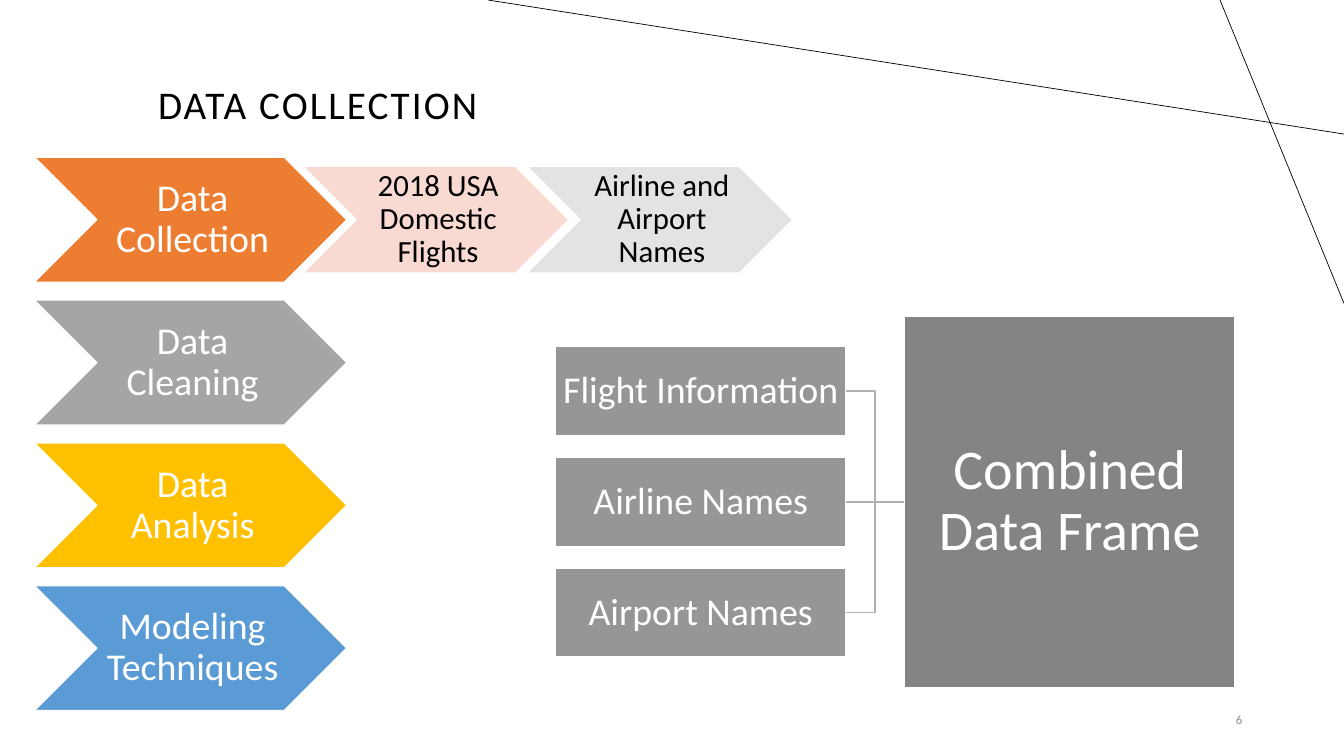
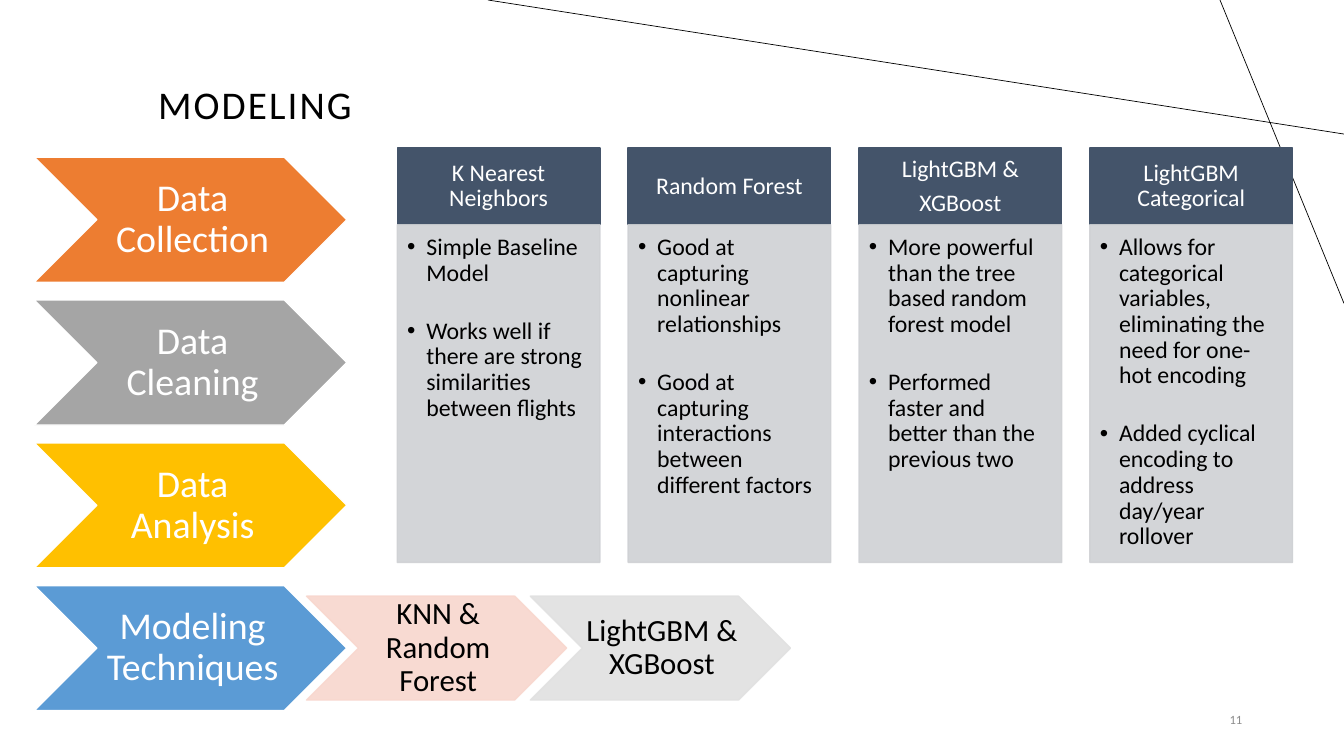
from lxml import etree
from pptx import Presentation
from pptx.dml.color import RGBColor
from pptx.enum.shapes import MSO_CONNECTOR as Link, MSO_SHAPE as Preset
from pptx.enum.text import MSO_ANCHOR as Anchor, PP_ALIGN as Align
from pptx.oxml.ns import qn
from pptx.util import Inches, Pt

# Content
STEPS = [
    ("Data Collection", "orange"),
    ("Data Cleaning", "gray"),
    ("Data Analysis", "gold"),
    ("Modeling Techniques", "blue"),
]
COLLECTION = {
    "title": "DATA COLLECTION",
    "number": "6",
    "step": 0,
    "details": ["2018 USA Domestic Flights", "Airline and Airport Names"],
}
SOURCES = ["Flight Information", "Airline Names", "Airport Names"]
RESULT = "Combined Data Frame"
MODELING = {
    "title": "MODELING",
    "number": "11",
    "step": 3,
    "details": ["KNN & Random Forest", "LightGBM & XGBoost"],
}
MODELS = [
    (["K Nearest Neighbors"],
     ["Simple Baseline Model",
      "Works well if there are strong similarities between flights"]),
    (["Random Forest"],
     ["Good at capturing nonlinear relationships",
      "Good at capturing interactions between different factors"]),
    (["LightGBM &", "XGBoost"],
     ["More powerful than the tree based random forest model",
      "Performed faster and better than the previous two"]),
    (["LightGBM Categorical"],
     ["Allows for categorical variables, eliminating the need for one-hot encoding",
      "Added cyclical encoding to address day/year rollover"]),
]

# Shared style
FONT = "Calibri"
COLORS = {
    "black": "000000", "white": "FFFFFF", "number": "8C8C8C",
    "orange": "ED7D31", "gray": "A5A5A5", "gold": "FFC000", "blue": "5B9BD5",
    "pink": "F8D7CE", "silver": "E1E1E1",
    "source": "969696", "result": "848484", "link": "B1B1B1",
    "header": "44546A", "body": "CFD1D4",
}
DETAIL_COLORS = ["pink", "silver"]
CORNER_LINES = [((13.33, 1.33), (4.84, 0)), ((12.1, 0), (13.33, 3.01))]
STEP_LEFT, STEP_W, STEP_H = 0.34, 3.1, 1.24
STEP_FIRST, STEP_LAST = 1.56, 5.81
DETAIL_LEFT, DETAIL_W, DETAIL_H, DETAIL_PITCH = 3.04, 2.58, 1.03, 2.22


def color(name):
    return RGBColor.from_string(COLORS[name])


def add_bullet(para, indent):
    props = para._p.get_or_add_pPr()
    props.set("marL", str(Inches(indent)))
    props.set("indent", str(-Inches(indent)))
    etree.SubElement(props, qn("a:buFont")).set("typeface", "Arial")
    etree.SubElement(props, qn("a:buChar")).set("char", "•")


def write(box, texts, size, ink, insets, align=Align.CENTER, anchor=Anchor.MIDDLE,
          gap=0, bullet=0, tracking=0):
    frame = box.text_frame
    frame.word_wrap = True
    frame.vertical_anchor = anchor
    (frame.margin_left, frame.margin_top,
     frame.margin_right, frame.margin_bottom) = map(Inches, insets)
    for i, text in enumerate(texts):
        para = frame.paragraphs[0] if i == 0 else frame.add_paragraph()
        para.alignment = align
        para.line_spacing = 0.9
        para.space_before = Pt(gap if i else 0)
        if bullet:
            add_bullet(para, bullet)
        span = para.add_run()
        span.text = text
        span.font.name = FONT
        span.font.size = Pt(size)
        span.font.color.rgb = color(ink)
        if tracking:
            span._r.get_or_add_rPr().set("spc", str(tracking))


def add_block(page, preset, place, fill, line="white", opacity=100):
    block = page.shapes.add_shape(preset, *map(Inches, place))
    block.shadow.inherit = False
    block.fill.solid()
    block.fill.fore_color.rgb = color(fill)
    block.line.color.rgb = color(line)
    block.line.width = Pt(1)
    if opacity < 100:
        for tint in block._element.spPr.iter(qn("a:srgbClr")):
            etree.SubElement(tint, qn("a:alpha")).set("val", str(opacity * 1000))
    return block


def add_line(page, start, end, ink, width, kind=Link.STRAIGHT):
    line = page.shapes.add_connector(kind, *map(Inches, (*start, *end)))
    line.line.color.rgb = color(ink)
    line.line.width = Pt(width)
    etree.SubElement(line._element.spPr, qn("a:effectLst"))
    return line


def add_label(page, place, text, size, ink, **style):
    box = page.shapes.add_textbox(*map(Inches, place))
    write(box, [text], size, ink, (0.1, 0.05, 0.1, 0.05), **style)


def add_page(deck, content):
    """Corner lines, title, slide number and the chain of steps."""
    page = deck.slides.add_slide(deck.slide_layouts[6])
    for start, end in CORNER_LINES:
        add_line(page, start, end, "black", 0.5)
    add_label(page, (1.47, 0.61, 10.89, 0.71), content["title"], 28, "black",
              align=Align.LEFT, anchor=Anchor.BOTTOM, tracking=150)
    add_label(page, (11.34, 6.95, 1.08, 0.4), content["number"], 9, "number",
              align=Align.RIGHT)

    pitch = (STEP_LAST - STEP_FIRST) / (len(STEPS) - 1)
    for i, (name, fill) in enumerate(STEPS):
        step = add_block(page, Preset.CHEVRON,
                         (STEP_LEFT, STEP_FIRST + i * pitch, STEP_W, STEP_H), fill)
        write(step, [name], 27, "white", (0.04, 0.02, 0, 0.02))

    top = STEP_FIRST + content["step"] * pitch + (STEP_H - DETAIL_H) / 2
    for i, (name, fill) in enumerate(zip(content["details"], DETAIL_COLORS)):
        detail = add_block(page, Preset.CHEVRON,
                           (DETAIL_LEFT + i * DETAIL_PITCH, top, DETAIL_W, DETAIL_H),
                           fill, fill, 90)
        write(detail, [name], 22, "black", (0.03, 0.02, 0, 0.02))
    return page


def add_sources(page):
    """Source boxes joined to the combined result."""
    left, top, width, height, pitch = 5.51, 3.44, 2.88, 0.88, 1.1
    result_left, result_w, result_h = 8.97, 3.28, 3.68
    middle = top + (pitch * (len(SOURCES) - 1) + height) / 2
    result = add_block(page, Preset.RECTANGLE,
                       (result_left, middle - result_h / 2, result_w, result_h), "result")
    write(result, [RESULT], 40, "white", (0.03,) * 4)
    for i, name in enumerate(SOURCES):
        y = top + i * pitch
        source = add_block(page, Preset.RECTANGLE, (left, y, width, height), "source")
        write(source, [name], 27, "white", (0.02,) * 4)
        level = abs(y + height / 2 - middle) < 0.01
        link = add_line(page, (left + width, y + height / 2), (result_left, middle),
                        "link", 1, Link.STRAIGHT if level else Link.ELBOW)
        link.begin_connect(source, 3)
        link.end_connect(result, 1)


def add_models(page):
    """One card for each model: header above bullets."""
    left, top, width, pitch = 3.94, 1.47, 2.01, 2.29
    header_h, body_h = 0.76, 3.35
    for i, (heading, points) in enumerate(MODELS):
        x = left + i * pitch
        header = add_block(page, Preset.RECTANGLE, (x, top, width, header_h),
                           "header", "header")
        write(header, heading, 17, "white", (0.13, 0.08, 0.13, 0.08), gap=6)
        body = add_block(page, Preset.RECTANGLE, (x, top + header_h, width, body_h),
                         "body", "body", 90)
        write(body, points, 17, "black", (0.1, 0.1, 0.13, 0.15), align=Align.LEFT,
              anchor=Anchor.TOP, gap=23, bullet=0.19)


def main():
    deck = Presentation()
    deck.slide_width, deck.slide_height = Inches(13.33), Inches(7.5)
    add_sources(add_page(deck, COLLECTION))
    add_models(add_page(deck, MODELING))
    deck.save("out.pptx")


if __name__ == "__main__":
    main()
